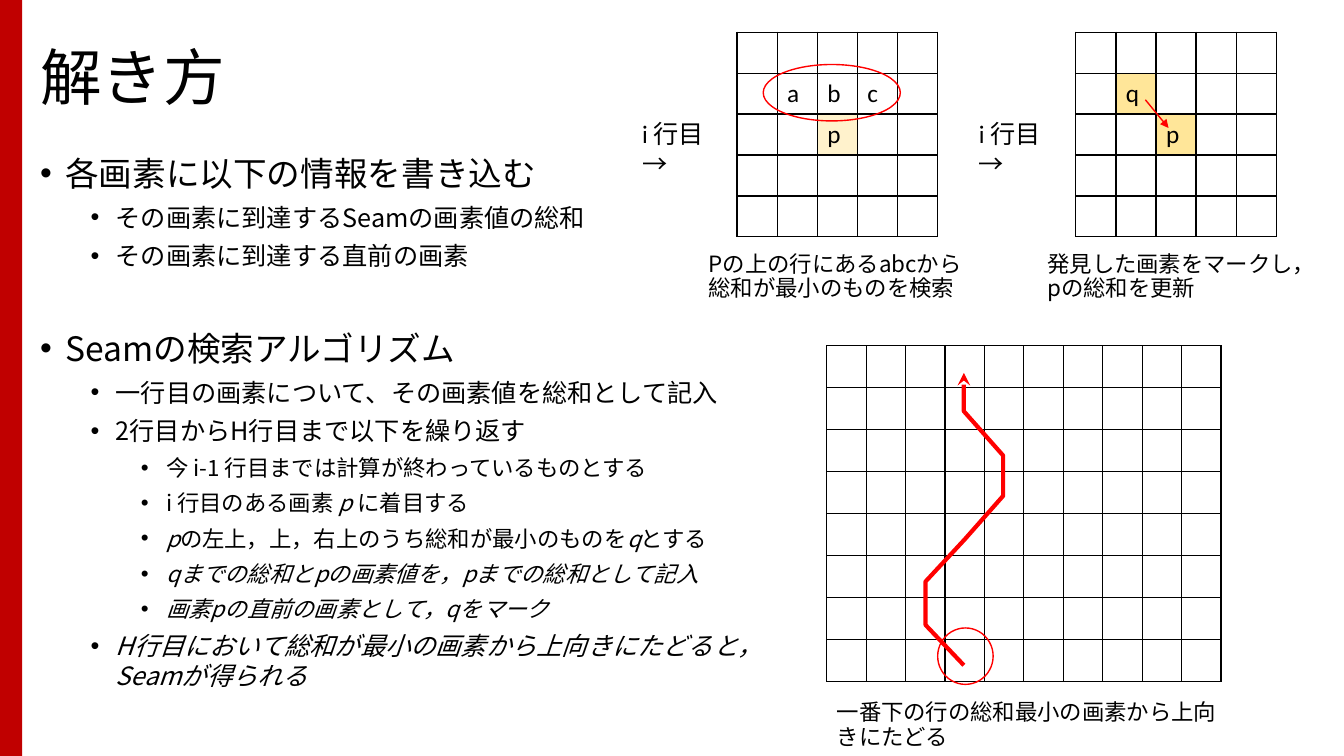
from lxml import etree
from pptx import Presentation
from pptx.dml.color import RGBColor
from pptx.enum.shapes import MSO_CONNECTOR, MSO_SHAPE
from pptx.enum.text import MSO_ANCHOR
from pptx.oxml.ns import qn
from pptx.util import Emu, Pt

PX = 9144  # 100 px to the inch
LINE = MSO_CONNECTOR.STRAIGHT
RECT, OVAL = MSO_SHAPE.RECTANGLE, MSO_SHAPE.OVAL
TOP, MIDDLE = MSO_ANCHOR.TOP, MSO_ANCHOR.MIDDLE
NOTO, LATIN = "Noto Sans CJK JP", "Calibri"
BLACK, RED, BAR = "000000", "FF0000", "C00000"
PALE, GOLD = "FFF2CC", "FFE699"
SIZES = (24, 18, 16)

# Level, text (italics between asterisks), space before
BODY = [
    (0, "各画素に以下の情報を書き込む", 0),
    (1, "その画素に到達するSeamの画素値の総和", 6),
    (1, "その画素に到達する直前の画素", 6),
    (0, "Seamの検索アルゴリズム", 41),
    (1, "一行目の画素について、その画素値を総和として記入", 6),
    (1, "2行目からH行目まで以下を繰り返す", 6),
    (2, "今 i-1 行目までは計算が終わっているものとする", 6),
    (2, "i 行目のある画素 *p *に着目する", 6),
    (2, "*p*の左上，上，右上のうち総和が最小のものを*q*とする", 6),
    (2, "*qまでの総和とpの画素値を，pまでの総和として記入*", 6),
    (2, "*画素pの直前の画素として，qをマーク*", 6),
    (1, "*H行目において総和が最小の画素から上向きにたどると，Seamが得られる*", 6),
]
SEAM = [(956, 370), (956, 408), (995, 452), (995, 492),
        (957, 535), (918, 577), (918, 620), (956, 660)]


def px(*nums):
    return [Emu(round(n * PX)) for n in nums]


def color(code):
    return RGBColor.from_string(code)


def sub(node, tag, **attrs):
    return etree.SubElement(node, qn(tag), attrs)


def write(para, text, size=18, face=NOTO, space=None):
    """Write text into a paragraph; asterisks switch italics."""
    if space:
        para.line_spacing = space
    for i, part in enumerate(text.split("*")):
        if part:
            run = para.add_run()
            run.text = part
            font = run.font
            font.size, font.name = Pt(size), face
            font.color.rgb = color(BLACK)
            font.italic = i % 2 == 1
            sub(font._element, "a:ea", typeface=NOTO)


def add_box(slide, box, anchor=TOP):
    frame = slide.shapes.add_textbox(*px(*box)).text_frame
    frame.word_wrap = True
    frame.vertical_anchor = anchor
    return frame


def add_text(slide, box, text, anchor=TOP, **style):
    write(add_box(slide, box, anchor).paragraphs[0], text, **style)


def add_list(slide, box, items):
    frame = add_box(slide, box)
    for i, (level, text, gap) in enumerate(items):
        para = frame.add_paragraph() if i else frame.paragraphs[0]
        props = para._p.get_or_add_pPr()
        left, hang = px(25 + 50 * level, -25)
        props.set("marL", str(left))
        props.set("indent", str(hang))
        sub(props, "a:buFont", typeface="Arial")
        sub(props, "a:buChar", char="•")
        para.level = level
        para.space_before = Pt(gap)
        write(para, text, size=SIZES[level])


def add_grid(slide, box, rows, cols, marks):
    """Draw a ruled grid; marks maps (row, column) to text and fill."""
    table = slide.shapes.add_table(rows, cols, *px(*box)).table
    table.first_row = table.horz_banding = False
    for col in table.columns:
        col.width = px(box[2] / cols)[0]
    for row in table.rows:
        row.height = px(box[3] / rows)[0]
    for i, cell in enumerate(table.iter_cells()):
        props = cell._tc.get_or_add_tcPr()
        for side in "LRTB":
            edge = sub(props, "a:ln" + side, w=str(Pt(1)))
            sub(sub(edge, "a:solidFill"), "a:srgbClr", val=BLACK)
        text, fill = marks.get(divmod(i, cols), ("", None))
        if fill:
            cell.fill.solid()
            cell.fill.fore_color.rgb = color(fill)
        else:
            cell.fill.background()
        write(cell.text_frame.paragraphs[0], text, face=LATIN)


def stroke(shape, width, end=None, kind=None):
    line = shape.line
    line.color.rgb = color(RED)
    line.width = Pt(width)
    if end:
        sub(line._get_or_add_ln(), end, type=kind)


def add_ring(slide, box):
    ring = slide.shapes.add_shape(OVAL, *px(*box))
    ring.shadow.inherit = False
    ring.fill.background()
    stroke(ring, 1)


def add_bar(slide, box):
    bar = slide.shapes.add_shape(RECT, *px(*box))
    bar.shadow.inherit = False
    bar.fill.solid()
    bar.fill.fore_color.rgb = color(BAR)
    bar.line.fill.background()


def add_arrow(slide, *ends):
    arrow = slide.shapes.add_connector(LINE, *px(*ends))
    stroke(arrow, 1, "a:tailEnd", "triangle")
    sub(arrow._element.spPr, "a:effectLst")


def add_seam(slide, points):
    pen = slide.shapes.build_freeform(*points[0], scale=PX)
    pen.add_line_segments(points[1:], close=False)
    seam = pen.convert_to_shape()
    seam.shadow.inherit = False
    seam.fill.background()
    stroke(seam, 3, "a:headEnd", "stealth")


def main():
    deck = Presentation()
    deck.slide_width, deck.slide_height = px(1333, 750)
    slide = deck.slides.add_slide(deck.slide_layouts[6])

    # Side bar, title and body
    add_bar(slide, (0, 0, 22, 750))
    add_text(slide, (30, 40, 473, 80), "解き方", anchor=MIDDLE, size=44, space=0.9)
    add_list(slide, (30, 147, 726, 586), BODY)

    # Grids
    add_grid(slide, (820, 343, 391, 333), 8, 10, {})
    add_grid(slide, (731, 32, 199, 203), 5, 5, {
        (1, 1): ("a", None), (1, 2): ("b", None),
        (1, 3): ("c", None), (2, 2): ("p", PALE)})
    add_grid(slide, (1067, 32, 199, 203), 5, 5, {
        (1, 1): ("q", GOLD), (2, 2): ("p", GOLD)})

    # Captions and row labels
    for box, text in [
        ((693, 235, 273, 80), "Pの上の行にあるabcから総和が最小のものを検索"),
        ((1029, 235, 273, 80), "発見した画素をマークし，pの総和を更新"),
        ((820, 680, 402, 80), "一番下の行の総和最小の画素から上向きにたどる"),
    ]:
        add_text(slide, box, text, anchor=MIDDLE, size=16, space=0.9)
    for left in (627, 961):
        add_text(slide, (left, 112, 105, 40), "i 行目→", face=LATIN)

    # Red marks
    add_arrow(slide, 1136, 99, 1159, 127)
    add_ring(slide, (757, 64, 136, 56))
    add_ring(slide, (930, 623, 55, 56))
    add_seam(slide, SEAM)

    deck.save("out.pptx")


if __name__ == "__main__":
    main()
